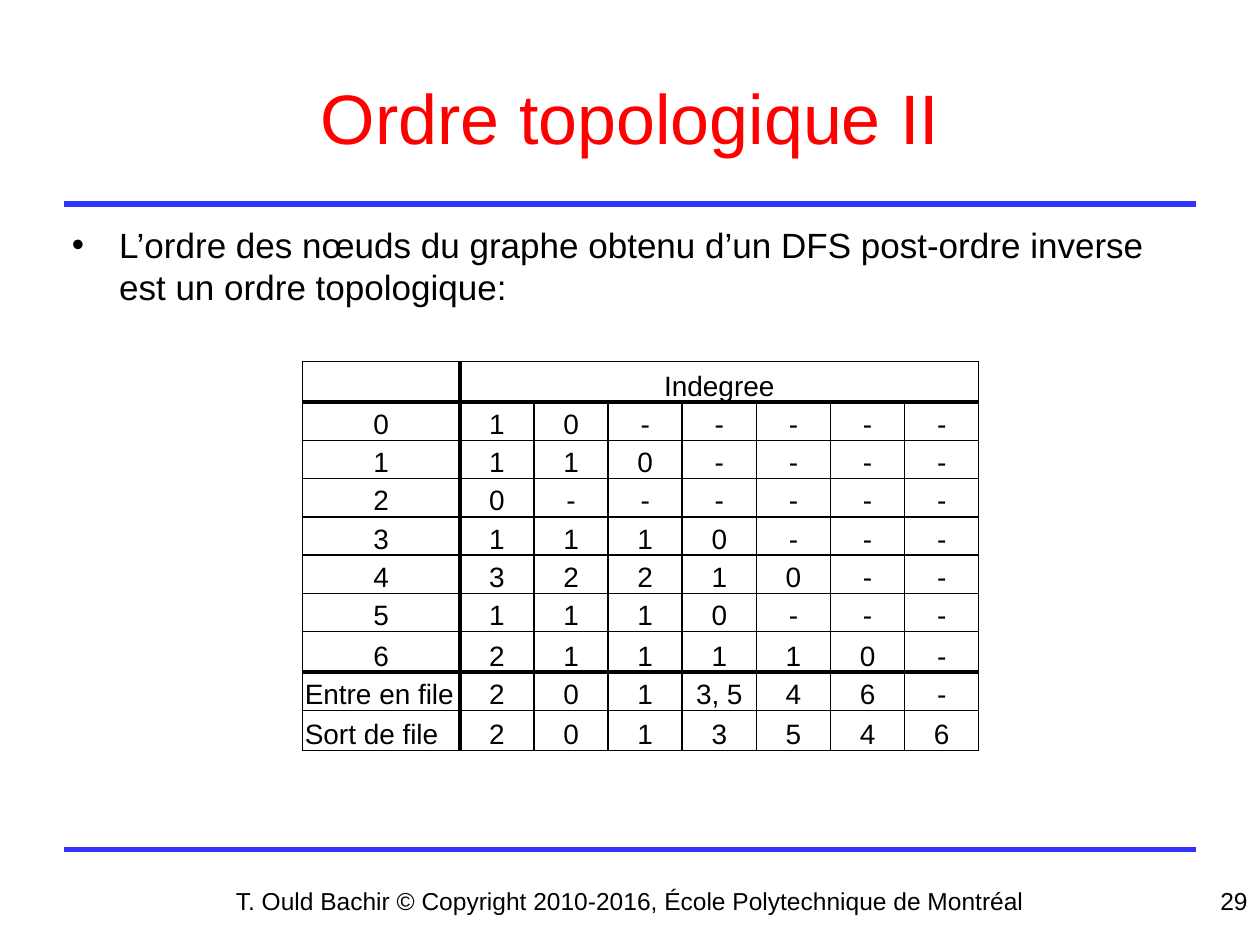
import dataclasses

import lxml.etree
import pptx
import pptx.dml.color
import pptx.enum.shapes
import pptx.enum.text
import pptx.oxml.ns
import pptx.util

ALIGN = pptx.enum.text.PP_ALIGN
ANCHOR = pptx.enum.text.MSO_ANCHOR
WIDTH = pptx.util.Inches(10)
HEIGHT = pptx.util.Inches(7.5)


@dataclasses.dataclass(frozen=True)
class Theme:
    font: str = "Arial"
    title_color: str = "FF0000"
    text_color: str = "000000"
    rule_color: str = "3333FF"
    title_size: int = 40
    body_size: int = 20
    table_size: int = 16
    footer_size: int = 14
    rule_width: float = 3
    thin_border: float = 1
    thick_border: float = 2.25


THEME = Theme()

INDEGREE_ROWS = [
    ["", "Indegree", "", "", "", "", "", ""],
    ["0", "1", "0", "-", "-", "-", "-", "-"],
    ["1", "1", "1", "0", "-", "-", "-", "-"],
    ["2", "0", "-", "-", "-", "-", "-", "-"],
    ["3", "1", "1", "1", "0", "-", "-", "-"],
    ["4", "3", "2", "2", "1", "0", "-", "-"],
    ["5", "1", "1", "1", "0", "-", "-", "-"],
    ["6", "2", "1", "1", "1", "1", "0", "-"],
    ["Entre en file", "2", "0", "1", "3, 5", "4", "6", "-"],
    ["Sort de file", "2", "0", "1", "3", "5", "4", "6"],
]
LAST_NODE_ROW = 7
TALL_ROWS = (0, LAST_NODE_ROW, 9)


def across(percent):
    return round(WIDTH * percent / 100)


def down(percent):
    return round(HEIGHT * percent / 100)


def box(left, top, width, height):
    """Turn percentages of the slide into a left, top, width, height tuple."""
    return across(left), down(top), across(width), down(height)


def style_paragraph(paragraph, size, color=THEME.text_color, alignment=ALIGN.LEFT):
    paragraph.alignment = alignment
    paragraph.font.name = THEME.font
    paragraph.font.size = pptx.util.Pt(size)
    paragraph.font.color.rgb = pptx.dml.color.RGBColor.from_string(color)


def fill_placeholder(placeholder, area, text):
    placeholder.left, placeholder.top, placeholder.width, placeholder.height = area
    placeholder.text_frame.text = text
    return placeholder.text_frame.paragraphs[0]


def add_title(slide, text):
    title = slide.shapes.title
    paragraph = fill_placeholder(title, box(5, 4, 90, 16.67), text)
    title.text_frame.vertical_anchor = ANCHOR.MIDDLE
    style_paragraph(paragraph, THEME.title_size, THEME.title_color, ALIGN.CENTER)


def add_bullet(slide, text):
    body = slide.placeholders[1]
    paragraph = fill_placeholder(body, box(4.7, 22.93, 90.3, 6.13), text)
    body.text_frame.auto_size = pptx.enum.text.MSO_AUTO_SIZE.NONE
    style_paragraph(paragraph, THEME.body_size)
    properties = paragraph._p.get_or_add_pPr()
    indent = across(3.75)
    properties.set("marL", str(indent))
    properties.set("indent", str(-indent))


def add_rule(slide, top):
    rule = slide.shapes.add_connector(
        pptx.enum.shapes.MSO_CONNECTOR.STRAIGHT,
        across(5.1), down(top), across(94.9), down(top))
    rule.line.color.rgb = pptx.dml.color.RGBColor.from_string(THEME.rule_color)
    rule.line.width = pptx.util.Pt(THEME.rule_width)
    lxml.etree.SubElement(rule._element.spPr, pptx.oxml.ns.qn("a:effectLst"))


def add_footer(slide, left, width, text, alignment):
    frame = slide.shapes.add_textbox(*box(left, 93.07, width, 6.93)).text_frame
    frame.word_wrap = True
    frame.text = text
    style_paragraph(frame.paragraphs[0], THEME.footer_size, alignment=alignment)


def set_borders(cell, widths):
    """Draw cell borders; widths are points keyed L, R, T, B in schema order."""
    properties = cell._tc.get_or_add_tcPr()
    for index, (side, width) in enumerate(widths.items()):
        line = lxml.etree.Element(
            pptx.oxml.ns.qn(f"a:ln{side}"), w=str(pptx.util.Pt(width)))
        fill = lxml.etree.SubElement(line, pptx.oxml.ns.qn("a:solidFill"))
        lxml.etree.SubElement(
            fill, pptx.oxml.ns.qn("a:srgbClr"), val=THEME.text_color)
        properties.insert(index, line)


def border_widths(row, column):
    """Thick lines surround the node rows and follow the label column."""
    thick_sides = {
        "L": column == 1,
        "R": column == 0,
        "T": row in (1, LAST_NODE_ROW + 1),
        "B": row in (0, LAST_NODE_ROW),
    }
    return {side: THEME.thick_border if thick else THEME.thin_border
            for side, thick in thick_sides.items()}


def format_cell(cell, text, alignment):
    cell.text = text
    cell.fill.background()
    cell.vertical_anchor = ANCHOR.BOTTOM
    cell.margin_left = cell.margin_right = cell.margin_top = pptx.util.Inches(0.02)
    cell.margin_bottom = 0
    style_paragraph(cell.text_frame.paragraphs[0], THEME.table_size,
                    alignment=alignment)


def add_indegree_table(slide):
    row_count, column_count = len(INDEGREE_ROWS), len(INDEGREE_ROWS[0])
    area = box(24, 38.27, 53.7, 41.2)
    table = slide.shapes.add_table(row_count, column_count, *area).table
    table.first_row = table.horz_banding = False

    label_width = across(12.5)
    for index, column in enumerate(table.columns):
        column.width = (label_width if index == 0
                        else (area[2] - label_width) // (column_count - 1))
    tall = down(4.27)
    normal = (area[3] - tall * len(TALL_ROWS)) // (row_count - len(TALL_ROWS))
    for index, row in enumerate(table.rows):
        row.height = tall if index in TALL_ROWS else normal

    for row, values in enumerate(INDEGREE_ROWS):
        for column, text in enumerate(values):
            cell = table.cell(row, column)
            is_queue_label = column == 0 and row > LAST_NODE_ROW
            format_cell(cell, text, ALIGN.LEFT if is_queue_label else ALIGN.CENTER)
            set_borders(cell, border_widths(row, column))
    table.cell(0, 1).merge(table.cell(0, column_count - 1))


def main():
    presentation = pptx.Presentation()
    presentation.slide_width, presentation.slide_height = WIDTH, HEIGHT
    slide = presentation.slides.add_slide(presentation.slide_layouts[1])
    for top in (89.87, 21.6):
        add_rule(slide, top)
    add_title(slide, "Ordre topologique II")
    add_footer(slide, 0, 100,
               "T. Ould Bachir © Copyright 2010-2016, École Polytechnique de Montréal",
               ALIGN.CENTER)
    add_footer(slide, 76.7, 23.3, "29", ALIGN.RIGHT)
    add_bullet(slide, "L’ordre des nœuds du graphe obtenu d’un DFS post-ordre "
                      "inverse est un ordre topologique:")
    add_indegree_table(slide)
    presentation.save("out.pptx")


if __name__ == "__main__":
    main()
